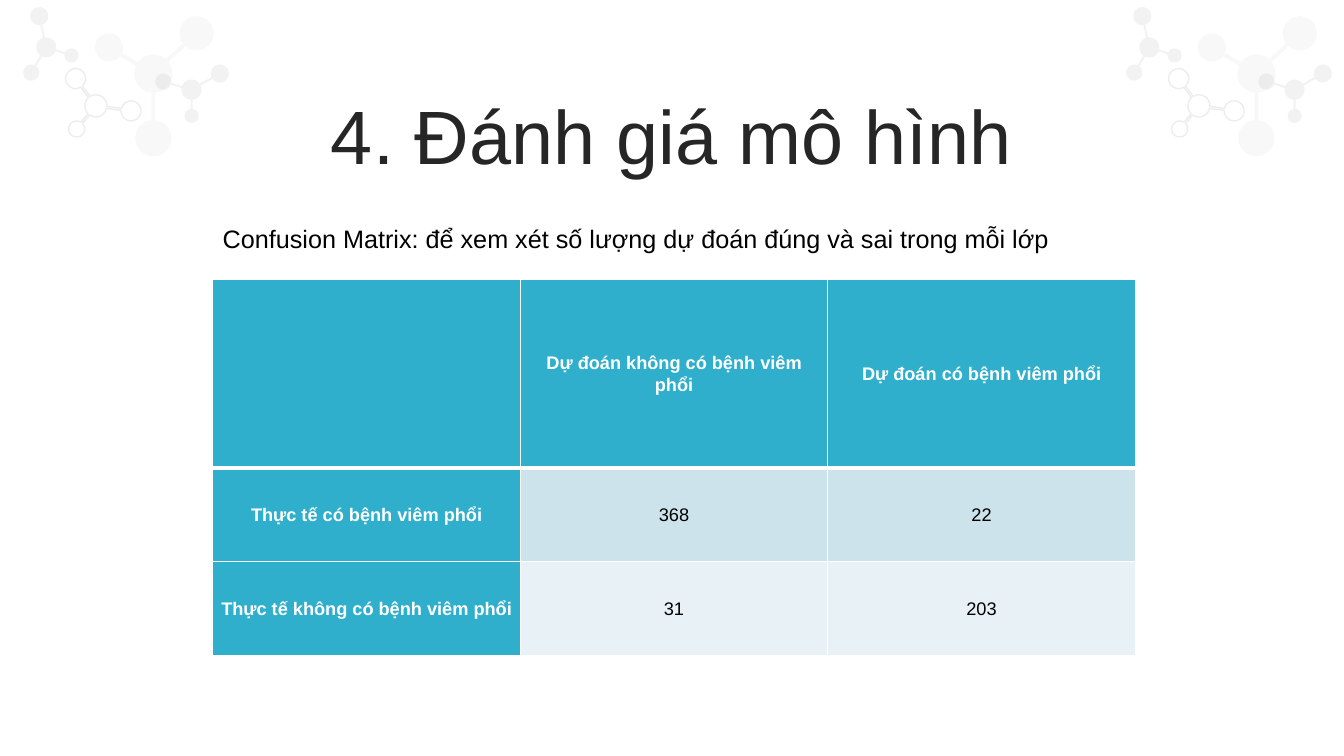
"""Build a slide with a confusion matrix table and molecule ornaments in the corners."""
from math import asin, atan2, cos, pi, radians, sin, tan

from lxml.etree import SubElement
from pptx import Presentation
from pptx.dml.color import RGBColor
from pptx.enum.text import MSO_ANCHOR as ANCHOR, MSO_AUTO_SIZE as AUTO_SIZE, PP_ALIGN as ALIGN
from pptx.oxml.ns import qn
from pptx.util import Inches, Pt

WHITE = RGBColor(0xFF, 0xFF, 0xFF)
BLACK = RGBColor(0x00, 0x00, 0x00)
DARK = RGBColor(0x26, 0x26, 0x26)
TEAL = RGBColor(0x2F, 0xAF, 0xCC)
PALE_BLUE = RGBColor(0xCD, 0xE3, 0xEC)
ICE_BLUE = RGBColor(0xE8, 0xF2, 0xF6)
LIGHT_GRAY = RGBColor(0xF2, 0xF2, 0xF2)
MID_GRAY = RGBColor(0xA6, 0xA6, 0xA6)
GRAY = RGBColor(0x80, 0x80, 0x80)


def write(frame, text, size, color, bold=False, align=ALIGN.LEFT, spacing=1.0, before=0):
    paragraph = frame.paragraphs[0]
    paragraph.alignment = align
    paragraph.line_spacing = spacing
    paragraph.space_before = Pt(before)
    run = paragraph.add_run()
    run.text = text
    run.font.name = "Arial"
    run.font.size = Pt(size)
    run.font.bold = bold
    run.font.color.rgb = color


def arc_curves(circle, start, end, pieces):
    x, y, radius = circle
    step = (end - start) / pieces
    pull = 4 / 3 * tan(step / 4)
    curves = []
    for piece in range(pieces):
        a = start + piece * step
        b = a + step
        curves.append(("cubicBezTo", [
            (x + radius * (cos(a) - pull * sin(a)), y + radius * (sin(a) + pull * cos(a))),
            (x + radius * (cos(b) + pull * sin(b)), y + radius * (sin(b) - pull * cos(b))),
            (x + radius * cos(b), y + radius * sin(b))]))
    return curves


presentation = Presentation()
presentation.slide_width = Inches(13.33)
presentation.slide_height = Inches(7.5)
slide = presentation.slides.add_slide(presentation.slide_layouts[5])

# Each molecule: frame, rotation, color, opacity, outlined, half bond width, hub, atoms clockwise.
MOLECULES = [
    ((1.53, 0.57, 0.69, 0.63), 15, LIGHT_GRAY, 100, False, 0.01, (1.9, 0.89, 0.1),
     [(2.18, 0.73, 0.09), (1.9, 1.15, 0.07), (1.62, 0.81, 0.08)]),
    ((0.52, 0.66, 0.79, 0.73), 52.9, MID_GRAY, 20, True, 0.01, (0.95, 1.05, 0.11),
     [(1.3, 1.1, 0.1), (0.76, 1.28, 0.08), (0.75, 0.78, 0.1)]),
    ((0.87, 0.05, 1.38, 1.27), 135, GRAY, 5, False, 0.02, (1.52, 0.73, 0.19),
     [(1.95, 0.33, 0.17), (1.52, 1.37, 0.18), (1.08, 0.47, 0.14)]),
    ((0.11, 0.19, 0.69, 0.63), 300.8, LIGHT_GRAY, 100, False, 0.01, (0.46, 0.47, 0.1),
     [(0.71, 0.55, 0.07), (0.31, 0.72, 0.08), (0.39, 0.16, 0.09)]),
]
for shift in (10.94, 0):
    ornament = slide.shapes.add_group_shape()
    for frame, rotation, color, opacity, outlined, half_bond, hub, atoms in MOLECULES:
        left, top, width, height = frame
        hub_x, hub_y, hub_radius = hub
        hub_gap = asin(half_bond / hub_radius)
        angles = [atan2(y - hub_y, x - hub_x) for x, y, radius in atoms]
        start = angles[0] - hub_gap
        outline = [("moveTo", [(hub_x + hub_radius * cos(start), hub_y + hub_radius * sin(start))])]
        for index, (atom, angle) in enumerate(zip(atoms, angles)):
            x, y, radius = atom
            atom_gap = asin(half_bond / radius)
            entry = angle + pi + atom_gap
            leave = angle + hub_gap
            following = angles[(index + 1) % len(angles)] - hub_gap
            outline.append(("lnTo", [(x + radius * cos(entry), y + radius * sin(entry))]))
            outline += arc_curves(atom, entry, angle + 3 * pi - atom_gap, 4)
            outline.append(("lnTo", [(hub_x + hub_radius * cos(leave),
                                      hub_y + hub_radius * sin(leave))]))
            outline += arc_curves(hub, leave, leave + (following - leave) % (2 * pi), 2)

        builder = ornament.shapes.build_freeform(Inches(shift + left), Inches(top))
        builder.add_line_segments([
            (Inches(shift + left + width), Inches(top)),
            (Inches(shift + left + width), Inches(top + height)),
            (Inches(shift + left), Inches(top + height))])
        molecule = builder.convert_to_shape()
        outline_element = next(molecule.element.iter(qn("a:path")))
        for child in list(outline_element):
            outline_element.remove(child)
        turn = radians(rotation)
        for command, points in outline:
            segment = SubElement(outline_element, qn(f"a:{command}"))
            for x, y in points:
                across, down = x - left - width / 2, y - top - height / 2
                local_x = across * cos(turn) + down * sin(turn) + width / 2
                local_y = down * cos(turn) - across * sin(turn) + height / 2
                SubElement(segment, qn("a:pt"), x=str(Inches(local_x)), y=str(Inches(local_y)))
        SubElement(outline_element, qn("a:close"))
        molecule.rotation = rotation
        molecule.shadow.inherit = False
        if outlined:
            molecule.fill.background()
            molecule.line.color.rgb = color
            molecule.line.width = Pt(1)
        else:
            molecule.fill.solid()
            molecule.fill.fore_color.rgb = color
            molecule.line.fill.background()
        if opacity < 100:
            tint = next(molecule.element.spPr.iter(qn("a:srgbClr")))
            SubElement(tint, qn("a:alpha"), val=str(opacity * 1000))

title = slide.shapes.title
title.left, title.top = Inches(0.33), Inches(0.99)
title.width, title.height = Inches(12.66), Inches(0.79)
title.text_frame.auto_size = AUTO_SIZE.NONE
title.text_frame.vertical_anchor = ANCHOR.MIDDLE
write(title.text_frame, "4. Đánh giá mô hình", 54, DARK,
      align=ALIGN.CENTER, spacing=0.9, before=10)

ROWS = [
    ["", "Dự đoán không có bệnh viêm phổi", "Dự đoán có bệnh viêm phổi"],
    ["Thực tế có bệnh viêm phổi", "368", "22"],
    ["Thực tế không có bệnh viêm phổi", "31", "203"],
]
ROW_HEIGHTS = [1.87, 0.93, 0.93]
ROW_FILLS = [TEAL, PALE_BLUE, ICE_BLUE]
matrix = slide.shapes.add_table(
    3, 3, Inches(2.11), Inches(2.77), Inches(9.15), Inches(3.73)).table
for column in matrix.columns:
    column.width = Inches(3.05)
for row_index, texts in enumerate(ROWS):
    matrix.rows[row_index].height = Inches(ROW_HEIGHTS[row_index])
    for column_index, text in enumerate(texts):
        cell = matrix.cell(row_index, column_index)
        is_header = row_index == 0 or column_index == 0
        cell.fill.solid()
        cell.fill.fore_color.rgb = TEAL if is_header else ROW_FILLS[row_index]
        cell.vertical_anchor = ANCHOR.MIDDLE
        cell.margin_left = cell.margin_right = Inches(0.07)
        cell.margin_top = cell.margin_bottom = 0
        if text:
            write(cell.text_frame, text, 13, WHITE if is_header else BLACK,
                  bold=is_header, align=ALIGN.CENTER, spacing=1.07)
        properties = cell._tc.get_or_add_tcPr()
        for position, side in enumerate(("lnL", "lnR", "lnT", "lnB")):
            thick = row_index == 0 and side == "lnB"
            border = SubElement(properties, qn(f"a:{side}"), w=str(Pt(3 if thick else 1)))
            SubElement(SubElement(border, qn("a:solidFill")), qn("a:srgbClr"), val=str(WHITE))
            properties.insert(position, border)

caption = slide.shapes.add_textbox(Inches(2.11), Inches(2.17), Inches(8.47), Inches(0.4))
caption.text_frame.word_wrap = False
caption.text_frame.auto_size = AUTO_SIZE.SHAPE_TO_FIT_TEXT
write(caption.text_frame,
      "Confusion Matrix: để xem xét số lượng dự đoán đúng và sai trong mỗi lớp", 18, BLACK)

presentation.save("out.pptx")
